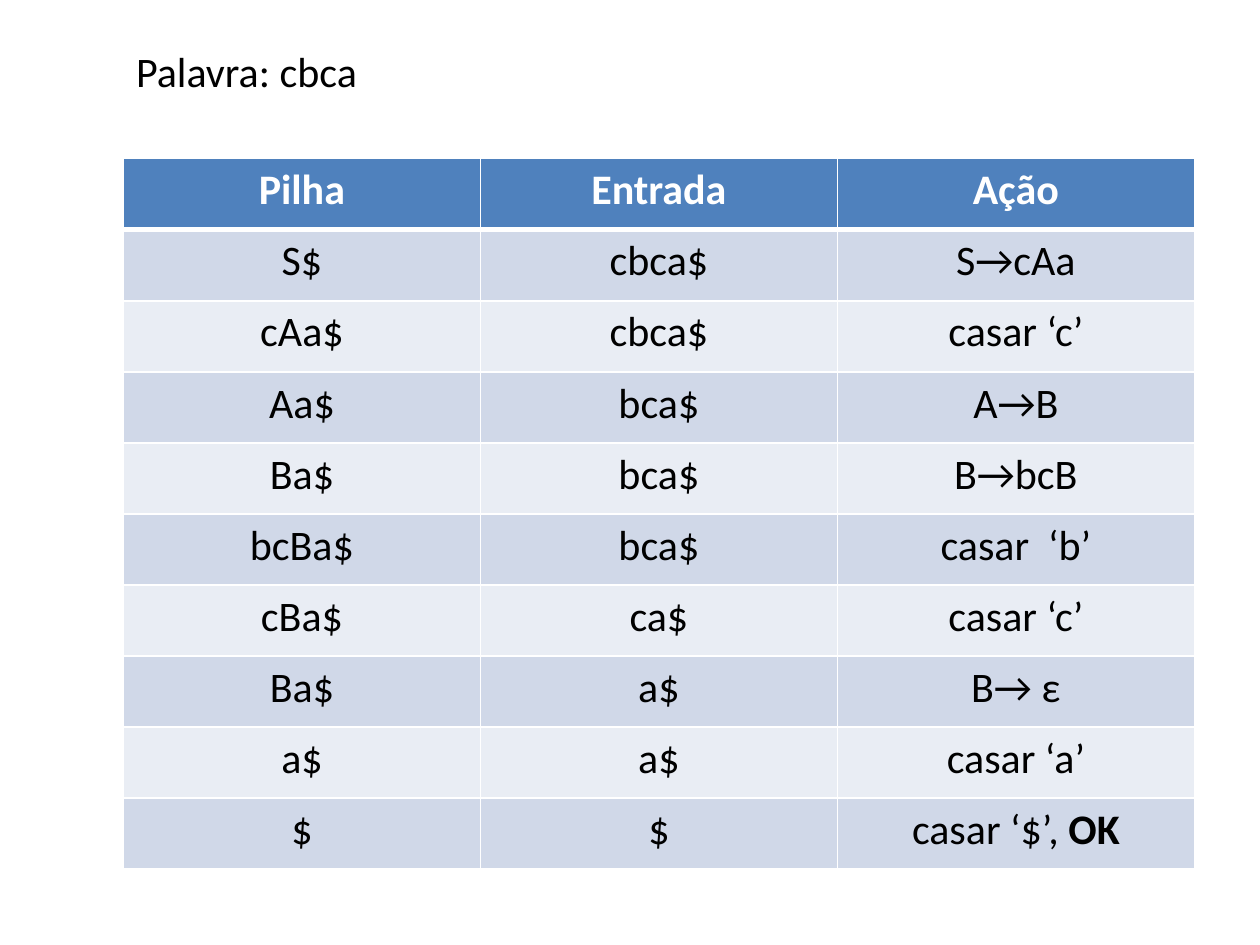
from lxml import etree
from pptx import Presentation
from pptx.dml.color import RGBColor
from pptx.enum.text import MSO_ANCHOR, PP_ALIGN
from pptx.oxml.ns import qn
from pptx.util import Inches, Pt

CENTER, LEFT = PP_ALIGN.CENTER, PP_ALIGN.LEFT
TOP = MSO_ANCHOR.TOP
WHITE = RGBColor(0xFF, 0xFF, 0xFF)
BLACK = RGBColor(0x00, 0x00, 0x00)
HEADER_BLUE = RGBColor(0x4F, 0x81, 0xBD)
BAND_FILLS = (RGBColor(0xD0, 0xD8, 0xE8), RGBColor(0xE9, 0xED, 0xF4))
FONT, SIZE = "Calibri", Pt(24)

# Content
TITLE = "Palavra: cbca"
HEADER = ("Pilha", "Entrada", "Ação")
STEPS = [
    ("S$", "cbca$", "S→cAa"),
    ("cAa$", "cbca$", "casar ‘c’"),
    ("Aa$", "bca$", "A→B"),
    ("Ba$", "bca$", "B→bcB"),
    ("bcBa$", "bca$", "casar  ‘b’"),
    ("cBa$", "ca$", "casar ‘c’"),
    ("Ba$", "a$", "B→ ε"),
    ("a$", "a$", "casar ‘a’"),
    ("$", "$", "casar ‘$’, "),
]
RESULT = "OK"  # bold ending of the last step


def format_run(run, color, bold=False):
    run.font.name, run.font.size = FONT, SIZE
    run.font.color.rgb, run.font.bold = color, bold


def set_borders(cell, bottom_width):
    properties = cell._tc.get_or_add_tcPr()
    widths = {"a:lnL": 1, "a:lnR": 1, "a:lnT": 1, "a:lnB": bottom_width}
    for position, (tag, width) in enumerate(widths.items()):
        line = etree.Element(qn(tag), w=str(Pt(width)))
        fill = etree.SubElement(line, qn("a:solidFill"))
        etree.SubElement(fill, qn("a:srgbClr"), val=str(WHITE))
        properties.insert(position, line)


presentation = Presentation()
presentation.slide_width, presentation.slide_height = Inches(10), Inches(7.5)
slide = presentation.slides.add_slide(presentation.slide_layouts[5])

# Title
title = slide.shapes.title
title.left, title.top = Inches(0.98), Inches(0.29)
title.width, title.height = Inches(1.97), Inches(0.58)
frame = title.text_frame
frame.text = TITLE
frame.word_wrap = False
frame.vertical_anchor = TOP
frame.margin_top = Inches(0.07)
frame.paragraphs[0].alignment = LEFT
format_run(frame.paragraphs[0].runs[0], BLACK)

# Parsing table
rows = [HEADER] + STEPS
table = slide.shapes.add_table(
    len(rows), len(HEADER), Inches(0.98), Inches(1.26), Inches(8.5), Inches(5.64)
).table
for row_index, row in enumerate(rows):
    is_header = row_index == 0
    for column_index, text in enumerate(row):
        cell = table.cell(row_index, column_index)
        cell.fill.solid()
        cell.fill.fore_color.rgb = HEADER_BLUE if is_header else BAND_FILLS[(row_index - 1) % 2]
        set_borders(cell, 3 if is_header else 1)
        cell.text_frame.text = text
        paragraph = cell.text_frame.paragraphs[0]
        paragraph.alignment = CENTER
        format_run(paragraph.runs[0], WHITE if is_header else BLACK, is_header)

# Result after the last action
result = table.cell(len(STEPS), 2).text_frame.paragraphs[0].add_run()
result.text = RESULT
format_run(result, BLACK, bold=True)

presentation.save("out.pptx")
